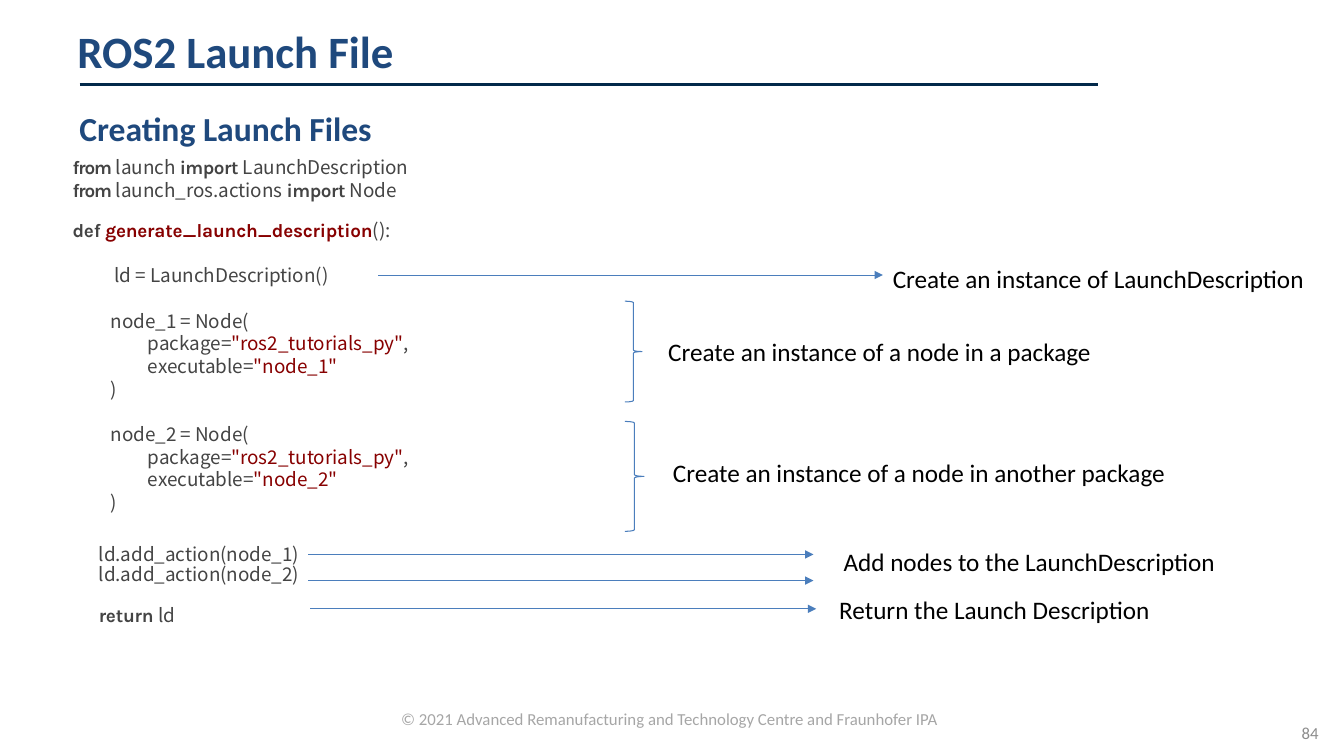
from pptx import Presentation
from pptx.dml.color import RGBColor
from pptx.enum.shapes import MSO_CONNECTOR as Connector, MSO_SHAPE as Shape
from pptx.enum.text import MSO_ANCHOR as Anchor, PP_ALIGN as Align
from pptx.oxml.ns import qn
from pptx.util import Cm, Pt
from lxml.etree import SubElement


class Theme:
    heading, rule, body = "1F497D", "02294A", "000000"
    code, accent, arrow = "444444", "870000", "4B7EBC"
    footer, number = "A6A6A6", "8C8C8C"
    text_font, keyword_font, code_font = "Calibri", "Karla", "Noto Sans CJK SC"
    title_size, subtitle_size, label_size = 32, 24, 18
    code_size, footer_size = 13.5, 12


TITLE = ("ROS2 Launch File", (1.7, 0.43, 25.96, 1.7))
SUBTITLE = ("Creating Launch Files", (1.75, 2.59, 22.71, 1.27))
FOOTER = ("© 2021 Advanced Remanufacturing and Technology Centre and Fraunhofer IPA ",
          (1.8, 17.73, 30.25, 0.76))
NUMBER = ("84", (31.83, 18.14, 1.65, 0.64))
RULE = (2.01, 27.66, 2.13)

CODE_STYLES = {
    "plain": (Theme.code_font, Theme.code, False, 0),
    "string": (Theme.code_font, Theme.accent, False, 0),
    "from": (Theme.keyword_font, Theme.code, True, -80),
    "import": (Theme.keyword_font, Theme.code, True, -30),
    "keyword": (Theme.keyword_font, Theme.code, True, -10),
    "function": (Theme.keyword_font, Theme.accent, True, -10),
}
MARGIN, BODY, ARGUMENT, ACTION = 0.51, 1.47, 2.41, 0.74
GAP = 16.2


def import_line(module, name):
    return MARGIN, 0, [("from ", "from"), (module + " ", "plain"),
                       ("import ", "import"), (name, "plain")]


def node_lines(name):
    return [
        (BODY, GAP, [(f"{name} = Node(", "plain")]),
        (ARGUMENT, 0, [("package=", "plain"), ('"ros2_tutorials_py"', "string"), (",", "plain")]),
        (ARGUMENT, 0, [("executable=", "plain"), (f'"{name}"', "string")]),
        (BODY, 0, [(")", "plain")]),
    ]


DEFINITION = [
    import_line("launch", "LaunchDescription"),
    import_line("launch_ros.actions", "Node"),
    (MARGIN, 12.7, [("def ", "keyword"), ("generate_launch_description", "function"),
                    ("():", "plain")]),
    (BODY + 0.1, GAP, [("ld = LaunchDescription()", "plain")]),
    *node_lines("node_1"),
    *node_lines("node_2"),
]
ENDING = [
    (ACTION, 0, [("ld.add_action(node_1)", "plain")]),
    (ACTION, 0, [("ld.add_action(node_2)", "plain")]),
    (ACTION, 14.4, [("return ", "keyword"), ("ld", "plain")]),
]
CODE_BLOCKS = [
    (DEFINITION, (1.32, 3.89, 17.4, 9.73), None),
    (ENDING, (1.75, 13.72, 12, 2.1), 14.3),
]

LABELS = [
    ("Create an instance of LaunchDescription", 22.25, 6.5, 11),
    ("Create an instance of a node in a package", 16.59, 8.36, 11.3),
    ("Create an instance of a node in another package", 16.71, 11.4, 13.08),
    ("Add nodes to the LaunchDescription", 21.01, 13.64, 10.01),
    ("Return the Launch Description", 20.9, 14.86, 8.43),
]
LABEL_HEIGHT = 1.02
BRACES = [(15.75, 7.59, 0.43, 2.54), (15.75, 10.62, 0.48, 2.77)]
ARROWS = [(9.53, 22.25, 6.93), (7.77, 20.5, 13.97), (7.77, 20.5, 14.63), (7.82, 20.57, 15.34)]


def add_box(slide, place, wrap=True):
    box = slide.shapes.add_textbox(*map(Cm, place))
    box.text_frame.word_wrap = wrap
    return box.text_frame


def add_run(para, text, font, size, color, bold=False, spacing=0):
    span = para.add_run()
    span.text = text
    span.font.name, span.font.size, span.font.bold = font, Pt(size), bold
    span.font.color.rgb = RGBColor.from_string(color)
    if spacing:
        span.font._element.set("spc", str(spacing))


def add_text(slide, text, place, size, color, bold=False, align=Align.LEFT,
             anchor=Anchor.TOP, wrap=True):
    frame = add_box(slide, place, wrap)
    frame.vertical_anchor = anchor
    para = frame.paragraphs[0]
    para.alignment = align
    add_run(para, text, Theme.text_font, size, color, bold)


def add_code(slide, lines, place, line_height):
    frame = add_box(slide, place)
    frame.margin_left = frame.margin_right = frame.margin_bottom = 0
    frame.margin_top = Cm(0.03)
    for index, (indent, gap, spans) in enumerate(lines):
        para = frame.add_paragraph() if index else frame.paragraphs[0]
        para._p.get_or_add_pPr().set("marL", str(Cm(indent)))
        if gap:
            para.space_before = Pt(gap)
        if line_height:
            para.line_spacing = Pt(line_height)
        for text, style in spans:
            font, color, bold, spacing = CODE_STYLES[style]
            add_run(para, text, font, Theme.code_size, color, bold, spacing)


def add_line(slide, left, right, top, color, width, arrow=False):
    line = slide.shapes.add_connector(Connector.STRAIGHT, Cm(left), Cm(top), Cm(right), Cm(top))
    line.line.color.rgb = RGBColor.from_string(color)
    line.line.width = Pt(width)
    if arrow:
        SubElement(line.line._get_or_add_ln(), qn("a:tailEnd"), type="triangle")
    SubElement(line._element.spPr, qn("a:effectLst"))


def add_brace(slide, place):
    brace = slide.shapes.add_shape(Shape.RIGHT_BRACE, *map(Cm, place))
    brace.shadow.inherit = False
    brace.fill.background()
    brace.line.color.rgb = RGBColor.from_string(Theme.arrow)
    brace.line.width = Pt(0.75)


def main():
    deck = Presentation()
    deck.slide_width, deck.slide_height = Cm(33.87), Cm(19.05)
    slide = deck.slides.add_slide(deck.slide_layouts[6])

    add_line(slide, *RULE, Theme.rule, 1.5)
    add_text(slide, *FOOTER, Theme.footer_size, Theme.footer, align=Align.CENTER)
    add_text(slide, *TITLE, Theme.title_size, Theme.heading, bold=True, anchor=Anchor.MIDDLE)
    add_text(slide, *NUMBER, Theme.footer_size, Theme.number, align=Align.RIGHT,
             anchor=Anchor.MIDDLE)
    add_text(slide, *SUBTITLE, Theme.subtitle_size, Theme.heading, bold=True)
    for lines, place, line_height in CODE_BLOCKS:
        add_code(slide, lines, place, line_height)
    for place in BRACES:
        add_brace(slide, place)
    for left, right, top in ARROWS:
        add_line(slide, left, right, top, Theme.arrow, 0.75, arrow=True)
    for text, left, top, width in LABELS:
        add_text(slide, text, (left, top, width, LABEL_HEIGHT), Theme.label_size, Theme.body,
                 wrap=False)
    deck.save("out.pptx")


if __name__ == "__main__":
    main()
